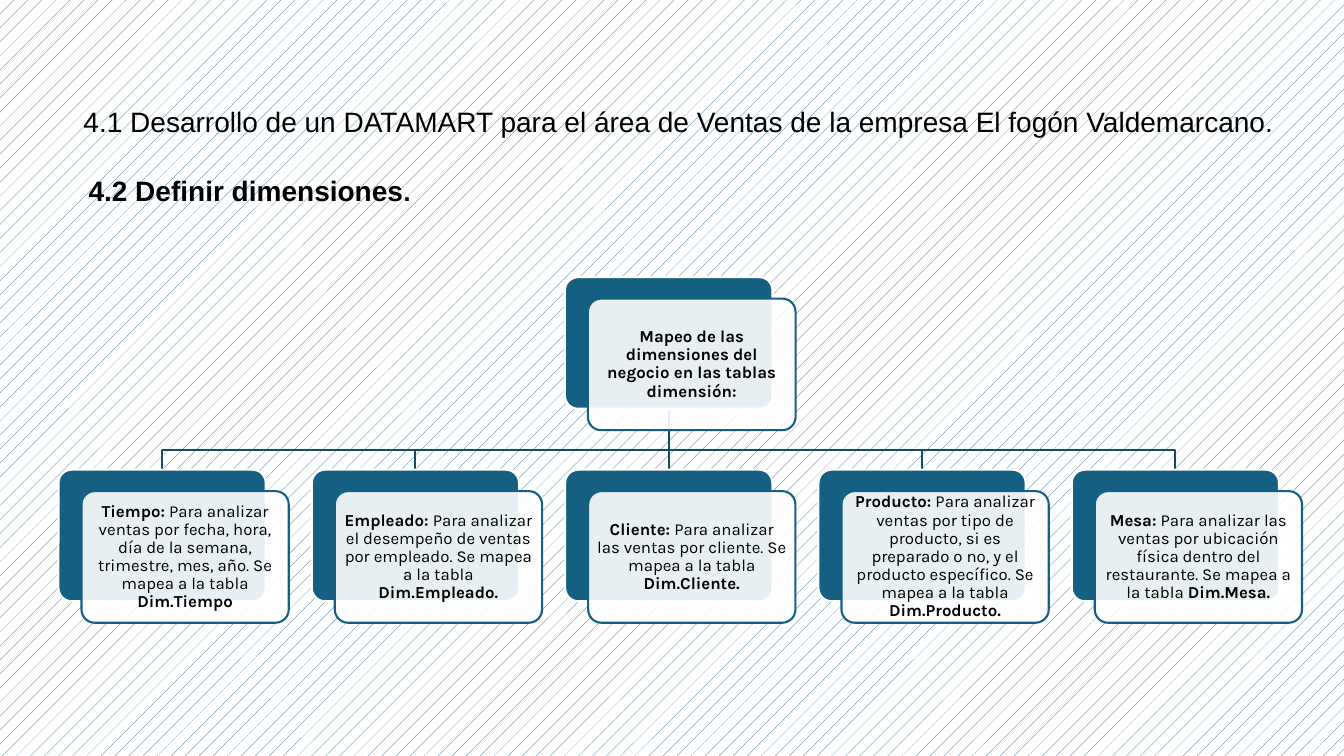
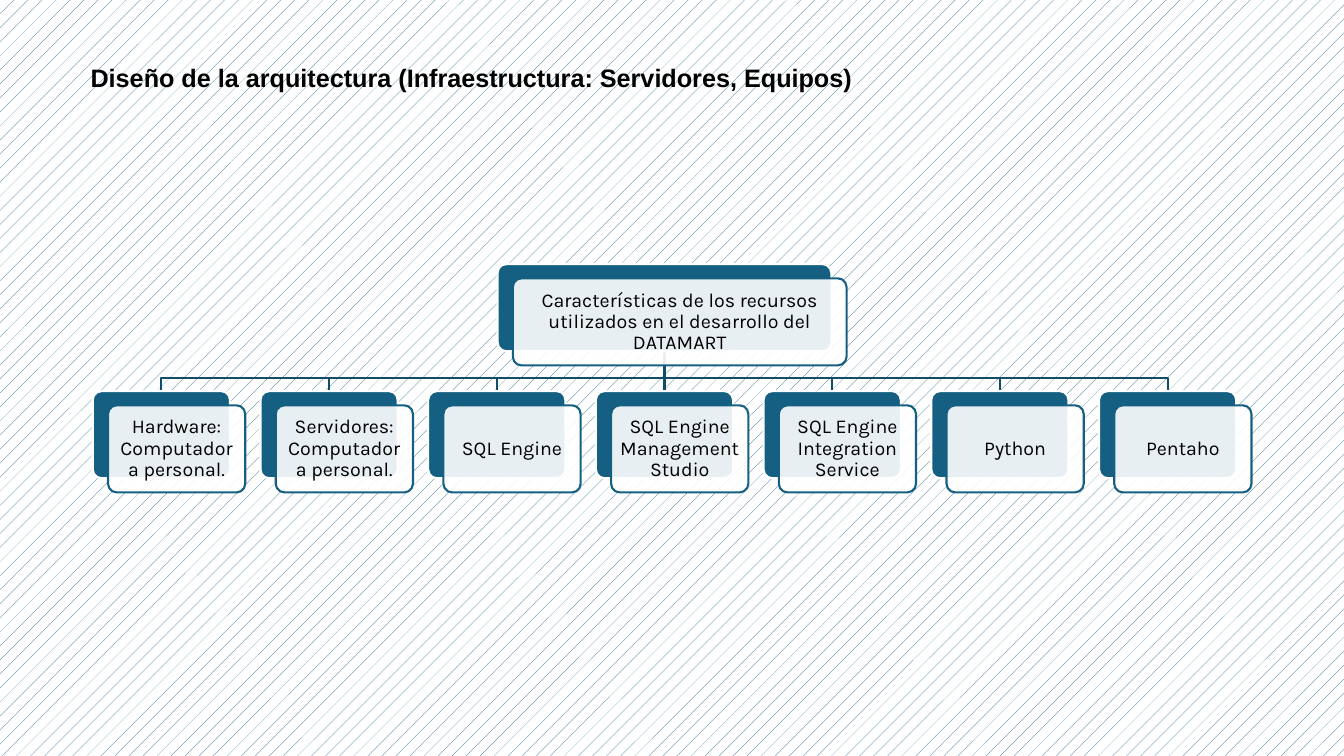
from pptx import Presentation
from pptx.dml.color import RGBColor
from pptx.enum.dml import MSO_PATTERN
from pptx.enum.shapes import MSO_CONNECTOR, MSO_SHAPE
from pptx.enum.text import MSO_ANCHOR, MSO_AUTO_SIZE, PP_ALIGN
from pptx.oxml.ns import qn
from pptx.util import Inches, Pt
from lxml.etree import SubElement

COLORS = {"accent": "156082", "link": "114D68", "white": "FFFFFF", "ink": "000000"}
HEADING_FONT, CARD_FONT = "Arial", "Karla"
LINE_WIDTH = 1.5

# Proportions shared by both trees
CARD_SHARE = 9 / 11       # card width / column pitch
CARD_ASPECT = 0.635       # card height / card width
SHIFT_X = 1 / 9           # front card shift / regular card width
SHIFT_Y = 0.163           # front card shift / card height
BEND = 0.68               # height of the elbow / gap between levels

# Content: runs are (text, bold) or (text, bold, size)
SLIDES = [
    {
        "headings": [
            {"at": (0.73, 0.82, 12.43, 0.54), "size": 20, "indent": 0,
             "runs": [("4.1 Desarrollo de un DATAMART para el área de Ventas "
                       "de la empresa El fogón Valdemarcano.", False)]},
            {"at": (0.28, 1.51, 3.97, 0.54), "size": 20, "indent": 0.5,
             "runs": [("4.2 Definir dimensiones", True), (".", True, 18)]},
        ],
        "tree": {
            "left": 0.58, "top": 2.75, "step": 1.91, "span": 10.05,
            "root_width": 2.06, "size": 12, "inset": 0.05,
            "root": [("Mapeo de las dimensiones del negocio en las tablas dimensión:", True)],
            "children": [
                [("Tiempo:", True),
                 (" Para analizar ventas por fecha, hora, día de la semana, trimestre, "
                  "mes, año. Se mapea a la tabla ", False),
                 ("Dim.Tiempo", True)],
                [("Empleado:", True),
                 (" Para analizar el desempeño de ventas por empleado. "
                  "Se mapea a la tabla ", False),
                 ("Dim.Empleado.", True)],
                [("Cliente:", True),
                 (" Para analizar las ventas por cliente. Se mapea a la tabla ", False),
                 ("Dim.Cliente.", True)],
                [("Producto:", True),
                 (" Para analizar ventas por tipo de producto, si es preparado o no, "
                  "y el producto específico. Se mapea a la tabla ", False),
                 ("Dim.Producto.", True)],
                [("Mesa:", True),
                 (" Para analizar las ventas por ubicación física dentro del "
                  "restaurante. Se mapea a la tabla ", False),
                 ("Dim.Mesa.", True)],
            ],
        },
    },
    {
        "headings": [
            {"at": (0.3, 0.42, 8.86, 0.5), "size": 18, "indent": 0.5,
             "runs": [("Diseño de la arquitectura (Infraestructura: Servidores, Equipos)",
                       True)]},
        ],
        "tree": {
            "left": 0.92, "top": 2.62, "step": 1.26, "span": 9.98,
            "root_width": 3.31, "size": 14, "inset": 0.06,
            "root": [("Características de los recursos utilizados en el desarrollo "
                      "del DATAMART", False)],
            "children": [[(label, False)] for label in (
                "Hardware: Computadora personal.",
                "Servidores: Computadora personal.",
                "SQL Engine",
                "SQL Engine Management Studio",
                "SQL Engine Integration Service",
                "Python",
                "Pentaho",
            )],
        },
    },
]


def rgb(name):
    return RGBColor.from_string(COLORS[name])


def write(para, runs, *, font, size, align, spacing):
    para.alignment, para.line_spacing = align, spacing
    for text, bold, *own_size in runs:
        span = para.add_run()
        span.text = text
        span.font.name, span.font.bold = font, bold
        span.font.size = Pt(own_size[0] if own_size else size)
        span.font.color.rgb = rgb("ink")


def outline(shape, color):
    shape.line.color.rgb = rgb(color)
    shape.line.width = Pt(LINE_WIDTH)


def add_heading(page, heading):
    box = page.shapes.add_textbox(*map(Inches, heading["at"]))
    frame = box.text_frame
    frame.word_wrap = True
    frame.auto_size = MSO_AUTO_SIZE.SHAPE_TO_FIT_TEXT
    para = frame.paragraphs[0]
    if heading["indent"]:
        para.level = 1
        properties = para._p.get_or_add_pPr()
        properties.set("marL", str(Inches(heading["indent"])))
        properties.set("indent", "0")
    write(para, heading["runs"], font=HEADING_FONT, size=heading["size"],
          align=PP_ALIGN.JUSTIFY, spacing=1.5)


def add_panel(shapes, at, fill, line):
    panel = shapes.add_shape(MSO_SHAPE.ROUNDED_RECTANGLE, *map(Inches, at))
    panel.adjustments[0] = 0.1
    panel.shadow.inherit = False
    panel.fill.solid()
    panel.fill.fore_color.rgb = rgb(fill)
    outline(panel, line)
    return panel


def add_card(shapes, at, shift, runs, *, size, inset):
    """A solid panel with a translucent, shifted panel that holds the text."""
    left, top, width, height = at
    add_panel(shapes, at, "accent", "white")
    front = add_panel(shapes, (left + shift[0], top + shift[1], width, height),
                      "white", "accent")
    color = front._element.spPr.find(qn("a:solidFill"))[0]
    SubElement(color, qn("a:alpha")).set("val", "90000")
    frame = front.text_frame
    frame.word_wrap = True
    frame.vertical_anchor = MSO_ANCHOR.MIDDLE
    frame.margin_left = frame.margin_right = Inches(inset)
    frame.margin_top = frame.margin_bottom = Inches(inset)
    write(frame.paragraphs[0], runs, font=CARD_FONT, size=size,
          align=PP_ALIGN.CENTER, spacing=0.9)


def add_link(shapes, start, end):
    """A straight line to the card below, an elbow to any other card."""
    (x1, y1), (x2, y2) = start, end
    if abs(x1 - x2) < 0.01:
        link = shapes.add_connector(MSO_CONNECTOR.STRAIGHT,
                                    *map(Inches, (x1, y1, x1, y2)))
        SubElement(link._element.spPr, qn("a:effectLst"))
    else:
        bend = y1 + (y2 - y1) * BEND
        builder = shapes.build_freeform(Inches(x1), Inches(y1))
        builder.add_line_segments(
            [(Inches(x), Inches(y)) for x, y in ((x1, bend), (x2, bend), (x2, y2))],
            close=False)
        link = builder.convert_to_shape()
        link.fill.background()
        link.shadow.inherit = False
    outline(link, "link")


def add_tree(page, tree):
    shapes = page.shapes.add_group_shape().shapes
    children = tree["children"]
    pitch = tree["span"] / (len(children) - 1)
    width = pitch * CARD_SHARE
    height = width * CARD_ASPECT
    shift = (width * SHIFT_X, height * SHIFT_Y)
    child_top = tree["top"] + tree["step"]
    lefts = [tree["left"] + pitch * column for column in range(len(children))]
    center = tree["left"] + (tree["span"] + width) / 2
    style = {"size": tree["size"], "inset": tree["inset"]}

    # Links lie behind the cards
    for left in reversed(lefts):
        add_link(shapes, (center, tree["top"] + height), (left + width / 2, child_top))

    root_width = tree["root_width"]
    add_card(shapes, (center - root_width / 2, tree["top"], root_width, height),
             shift, tree["root"], **style)
    for left, runs in zip(lefts, children):
        add_card(shapes, (left, child_top, width, height), shift, runs, **style)


def add_page(deck, content):
    page = deck.slides.add_slide(deck.slide_layouts[6])
    fill = page.background.fill
    fill.patterned()
    fill.pattern = MSO_PATTERN.PERCENT_5
    fill.fore_color.rgb = rgb("accent")
    fill.back_color.rgb = rgb("white")
    for heading in content["headings"]:
        add_heading(page, heading)
    add_tree(page, content["tree"])


def main():
    deck = Presentation()
    deck.slide_width, deck.slide_height = Inches(13.33), Inches(7.5)
    for content in SLIDES:
        add_page(deck, content)
    deck.save("out.pptx")


if __name__ == "__main__":
    main()
